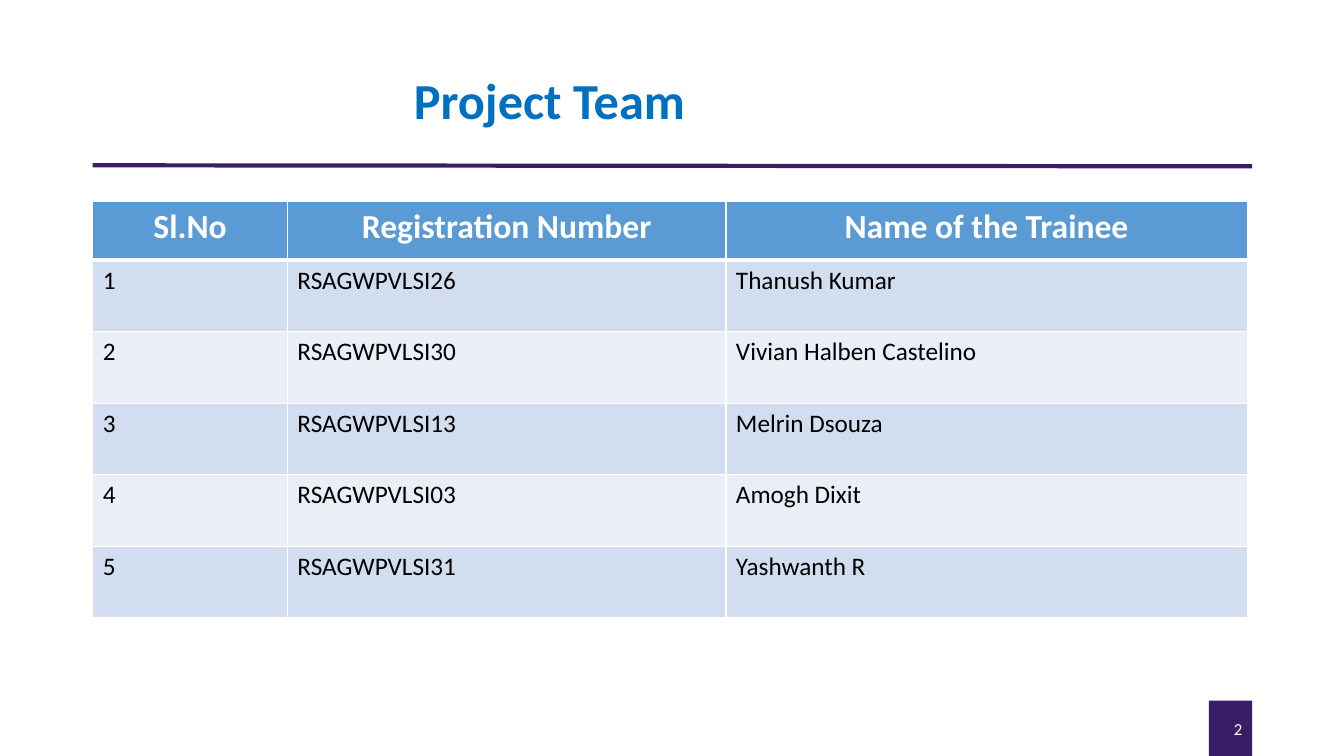
from lxml import etree
from pptx import Presentation
from pptx import util as u
from pptx.dml.color import RGBColor
from pptx.enum import shapes, text
from pptx.oxml import ns

WIDTH, HEIGHT = 13.33, 7.5
LEFT, RIGHT = 0.92, 12.42
FONT = "Calibri"
PURPLE, BLUE, WHITE, BLACK = "3A1D64", "0070C0", "FFFFFF", "000000"
HEADER_FILL, BAND_FILLS = "5B9BD5", ("D2DEEF", "EAEFF7")

COLUMN_WIDTHS = (1.93, 4.35, 5.17)
HEADER_HEIGHT, ROW_HEIGHT = 0.58, 0.71
HEADINGS = ("Sl.No", "Registration Number", "Name of the Trainee")
TRAINEES = (
    ("RSAGWPVLSI26", "Thanush Kumar"),
    ("RSAGWPVLSI30", "Vivian Halben Castelino"),
    ("RSAGWPVLSI13", "Melrin Dsouza"),
    ("RSAGWPVLSI03", "Amogh Dixit"),
    ("RSAGWPVLSI31", "Yashwanth R"),
)


def color(hex_string):
    return RGBColor.from_string(hex_string)


def inches(*lengths):
    return [u.Inches(length) for length in lengths]


def write(text_frame, words, size, hex_string, align, bold=False):
    text_frame.text = words
    paragraph = text_frame.paragraphs[0]
    paragraph.alignment = align
    font = paragraph.runs[0].font
    font.name, font.size, font.bold = FONT, u.Pt(size), bold
    font.color.rgb = color(hex_string)
    return paragraph


def set_borders(cell, bottom_width, side_width=1):
    properties = cell._tc.get_or_add_tcPr()
    widths = {"lnL": side_width, "lnR": side_width, "lnT": side_width, "lnB": bottom_width}
    for position, (tag, width) in enumerate(widths.items()):
        line = etree.Element(ns.qn(f"a:{tag}"), w=str(u.Pt(width)))
        fill = etree.SubElement(line, ns.qn("a:solidFill"))
        etree.SubElement(fill, ns.qn("a:srgbClr"), val=WHITE)
        properties.insert(position, line)


def add_title(slide, left, top, width, height):
    box = slide.shapes.add_textbox(*inches(left, top, width, height))
    frame = box.text_frame
    frame.word_wrap = True
    frame.vertical_anchor = text.MSO_ANCHOR.MIDDLE
    paragraph = write(frame, "Project Team", 36, BLUE, text.PP_ALIGN.CENTER, bold=True)
    paragraph.line_spacing = 0.9


def add_rule(slide, left, top, right, bottom):
    rule = slide.shapes.add_connector(
        shapes.MSO_CONNECTOR.STRAIGHT, *inches(left, top, right, bottom))
    rule.line.color.rgb = color(PURPLE)
    rule.line.width = u.Pt(3)
    etree.SubElement(rule._element.spPr, ns.qn("a:effectLst"))


def add_page_number(slide, left, top, width, height):
    badge = slide.shapes.add_shape(
        shapes.MSO_SHAPE.RECTANGLE, *inches(left, top, width, height))
    badge.shadow.inherit = False
    badge.fill.solid()
    badge.fill.fore_color.rgb = color(PURPLE)
    badge.line.fill.background()
    badge.text_frame.vertical_anchor = text.MSO_ANCHOR.MIDDLE
    write(badge.text_frame, "2", 12, WHITE, text.PP_ALIGN.RIGHT)


def add_team_table(slide, left, top):
    rows = [HEADINGS] + [(str(number), *trainee)
                         for number, trainee in enumerate(TRAINEES, 1)]
    height = HEADER_HEIGHT + ROW_HEIGHT * len(TRAINEES)
    table = slide.shapes.add_table(
        len(rows), len(HEADINGS), *inches(left, top, sum(COLUMN_WIDTHS), height)).table
    for column, width in zip(table.columns, COLUMN_WIDTHS):
        column.width = u.Inches(width)

    for row_index, values in enumerate(rows):
        header = row_index == 0
        table.rows[row_index].height = u.Inches(HEADER_HEIGHT if header else ROW_HEIGHT)
        for column_index, value in enumerate(values):
            cell = table.cell(row_index, column_index)
            cell.fill.solid()
            if header:
                cell.fill.fore_color.rgb = color(HEADER_FILL)
                write(cell.text_frame, value, 24, WHITE, text.PP_ALIGN.CENTER, bold=True)
            else:
                cell.fill.fore_color.rgb = color(BAND_FILLS[(row_index - 1) % 2])
                write(cell.text_frame, value, 18, BLACK, text.PP_ALIGN.LEFT)
            set_borders(cell, bottom_width=3 if header else 1)


def main():
    presentation = Presentation()
    presentation.slide_width, presentation.slide_height = inches(WIDTH, HEIGHT)
    slide = presentation.slides.add_slide(presentation.slide_layouts[6])

    # Frame: rule under the title and page number at the bottom edge
    add_rule(slide, LEFT, 1.64, RIGHT, 1.65)
    add_page_number(slide, RIGHT - 0.43, HEIGHT - 0.55, 0.43, 0.55)

    # Content
    add_title(slide, LEFT, 0.4, 9.06, 1.25)
    add_team_table(slide, LEFT, 2)

    presentation.save("out.pptx")


if __name__ == "__main__":
    main()
